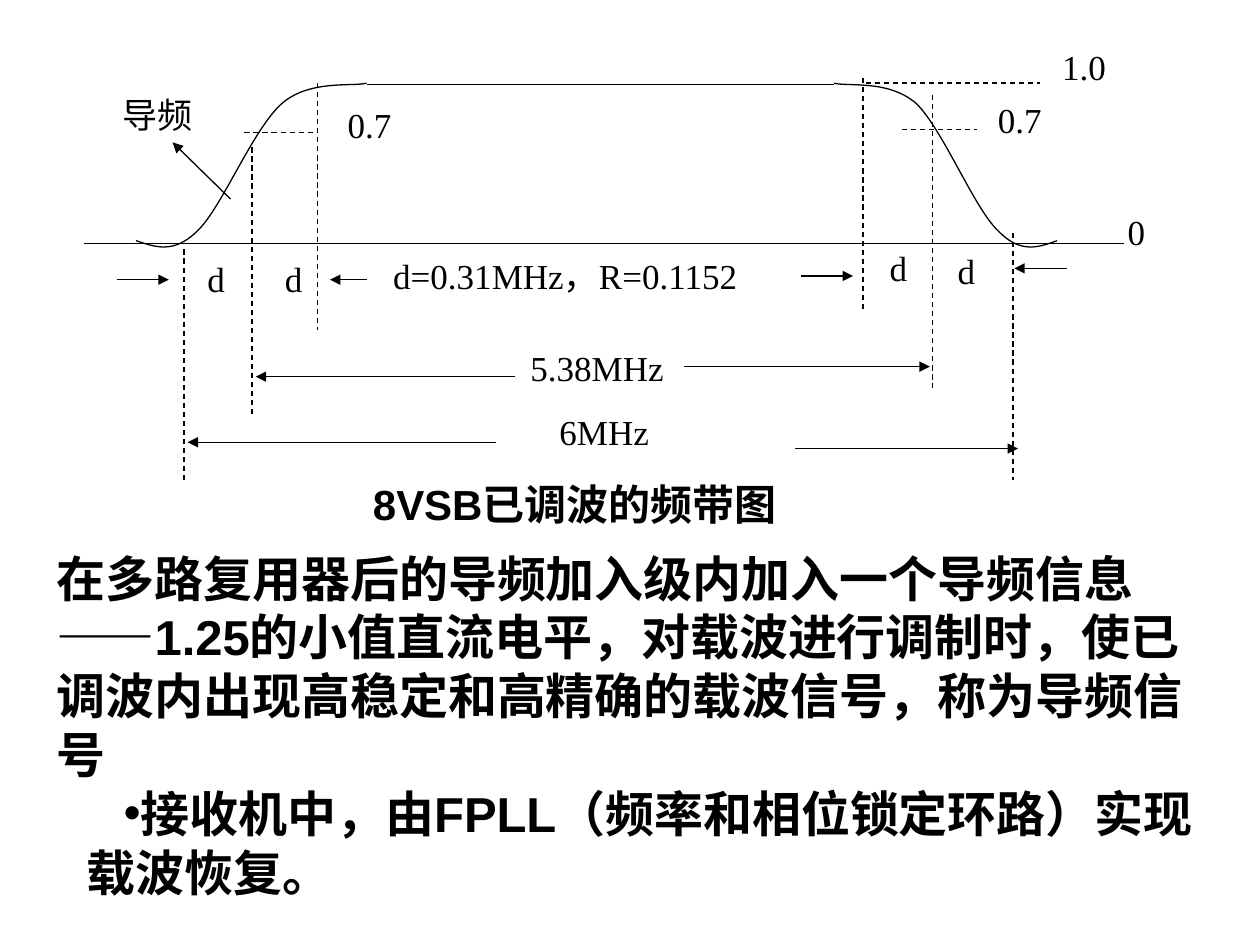
"""Build a slide showing the frequency band of the modulated 8VSB carrier."""
import pptx
import pptx.dml.color
import pptx.enum.dml
import pptx.enum.lang
import pptx.enum.shapes
import pptx.enum.text
import pptx.oxml
import pptx.oxml.ns
import pptx.util

Inches = pptx.util.Inches
Align = pptx.enum.text.PP_ALIGN
Anchor = pptx.enum.text.MSO_ANCHOR

CAPTION = "8VSB已调波的频带图"
PILOT_TEXT = (
    "在多路复用器后的导频加入级内加入一个导频信息——1.25的小值直流电平，"
    "对载波进行调制时，使已调波内出现高稳定和高精确的载波信号，称为导频信号"
)
RECEIVER_TEXT = "接收机中，由FPLL（频率和相位锁定环路）实现载波恢复。"

LABELS = [
    ("导频", 0.97, 0.74, 0.82, 0.5),
    ("1.0", 8.43, 0.36, 0.41, 0.41),
    ("5.38MHz", 4.21, 2.75, 1.44, 0.51),
    ("6MHz", 4.44, 3.26, 1.44, 0.51),
    ("0", 8.95, 1.67, 0.38, 0.5),
    ("0.7", 2.76, 0.82, 0.46, 0.5),
    ("0.7", 7.92, 0.78, 0.46, 0.5),
    ("d=0.31MHz，R=0.1152", 3.12, 2.02, 3.19, 0.51),
    ("d", 1.63, 2.04, 0.17, 0.37),
    ("d", 2.17, 2.04, 0.32, 0.45),
    ("d", 6.97, 1.96, 0.32, 0.45),
    ("d", 7.51, 1.98, 0.32, 0.45),
]
VERTICAL_GUIDES = [
    (1.46, 1.98, 3.83), (2, 1.17, 3.31), (2.52, 0.66, 2.62),
    (6.85, 0.62, 2.48), (7.4, 0.75, 3.08), (8.04, 1.85, 3.81),
]
LEVEL_GUIDES = [(1.05, 1.94, 2.49), (0.66, 6.87, 8.25), (1.03, 7.16, 7.75)]
SOLID_LEVELS = [(0.67, 2.91, 6.01), (0.67, 6.62, 5.74), (1.93, 0.67, 8.92)]
DIMENSION_ARROWS = [
    (2.22, 2.91, 2.62), (2.22, 0.93, 1.34), (2.19, 6.36, 6.77), (2.13, 8.47, 8.05),
    (2.99, 4.09, 2.03), (2.91, 5.43, 7.38), (3.51, 3.94, 1.49), (3.56, 6.31, 8.08),
]
PILOT_ARROW = (1.83, 1.58, 1.37, 1.13)
SLOPE_HEIGHTS = [1.91, 1.96, 2.02, 1.83, 1.65, 1.02, 0.82, 0.63, 0.69, 0.66]
SLOPES = [
    [1.08, 1.23, 1.38, 1.57, 1.76, 2.01, 2.24, 2.46, 2.8, 2.91],
    [8.39, 8.25, 8.1, 7.92, 7.73, 7.48, 7.27, 7.05, 6.73, 6.62],
]

THEME = {
    "ink": pptx.dml.color.RGBColor(0, 0, 0),
    "paper": pptx.dml.color.RGBColor(255, 255, 255),
    "label_font": "Times New Roman",
    "text_font": "Arial",
    "label_size": 20,
    "caption_size": 24,
    "body_size": 28,
    "line_width": 0.75,
}


def add_element(parent, tag, **attributes):
    element = pptx.oxml.ns.qn(tag)
    child = parent.makeelement(element, attributes)
    parent.append(child)
    return child


def style_line(line, color, dashed=False):
    line.color.rgb = color
    line.width = pptx.util.Pt(THEME["line_width"])
    if dashed:
        line.dash_style = pptx.enum.dml.MSO_LINE.DASH


def write_text(paragraph, text, *, font, size, bold=False, align=Align.LEFT, bullet=None,
               margin=0, indent=0):
    properties = paragraph._p.get_or_add_pPr()
    properties.set("marL", str(Inches(margin)))
    properties.set("indent", str(Inches(indent)))
    if bullet:
        add_element(properties, "a:buChar", char=bullet)
    else:
        add_element(properties, "a:buNone")
    paragraph.alignment = align
    paragraph.line_spacing = 1.0
    paragraph.space_before = paragraph.space_after = pptx.util.Pt(0)
    run = paragraph.add_run()
    run.text = text
    run.font.name = font
    run.font.size = pptx.util.Pt(size)
    run.font.bold = bold
    run.font.color.rgb = THEME["ink"]
    run.font.language_id = pptx.enum.lang.MSO_LANGUAGE_ID.SIMPLIFIED_CHINESE


def add_label(shapes, text, *box):
    shape = shapes.add_shape(pptx.enum.shapes.MSO_SHAPE.RECTANGLE, *map(Inches, box))
    shape.shadow.inherit = False
    shape.fill.solid()
    shape.fill.fore_color.rgb = THEME["paper"]
    style_line(shape.line, THEME["paper"])
    frame = shape.text_frame
    frame.word_wrap = True
    frame.vertical_anchor = Anchor.TOP
    frame.margin_left = frame.margin_right = frame.margin_top = frame.margin_bottom = 0
    write_text(frame.paragraphs[0], text, font=THEME["label_font"], size=THEME["label_size"],
               align=Align.CENTER if text == "d" else Align.JUSTIFY)


def add_line(shapes, *ends, dashed=False, arrow=False):
    connector = shapes.add_connector(pptx.enum.shapes.MSO_CONNECTOR.STRAIGHT, *map(Inches, ends))
    style_line(connector.line, THEME["ink"], dashed)
    if arrow:
        add_element(connector.line._get_or_add_ln(), "a:tailEnd", type="triangle")
    add_element(connector._element.spPr, "a:effectLst")


def add_slope(shapes, columns):
    points = [(Inches(x), Inches(y)) for x, y in zip(columns, SLOPE_HEIGHTS)]
    builder = shapes.build_freeform(*points[0])
    builder.add_line_segments(points[1:], close=False)
    shape = builder.convert_to_shape()
    outline = next(shape._element.iter(pptx.oxml.ns.qn("a:moveTo"))).getparent()
    segments = list(outline)[1:]
    for start in range(0, len(segments), 3):
        curve = add_element(outline, "a:cubicBezTo")
        for segment in segments[start:start + 3]:
            curve.append(segment[0])
            outline.remove(segment)
    shape.shadow.inherit = False
    shape.fill.background()
    style_line(shape.line, THEME["ink"])


def place(placeholder, *box):
    placeholder.left, placeholder.top, placeholder.width, placeholder.height = map(Inches, box)
    frame = placeholder.text_frame
    frame.word_wrap = True
    frame.auto_size = pptx.enum.text.MSO_AUTO_SIZE.NONE
    frame.vertical_anchor = Anchor.MIDDLE
    return frame


def draw_band(shapes):
    for label in LABELS:
        add_label(shapes, *label)
    for x, top, bottom in VERTICAL_GUIDES:
        add_line(shapes, x, top, x, bottom, dashed=True)
    for levels, style in ((LEVEL_GUIDES, {"dashed": True}), (SOLID_LEVELS, {}),
                          (DIMENSION_ARROWS, {"arrow": True})):
        for y, start, end in levels:
            add_line(shapes, start, y, end, y, **style)
    add_line(shapes, *PILOT_ARROW, arrow=True)
    for columns in SLOPES:
        add_slope(shapes, columns)


def main():
    presentation = pptx.Presentation()
    presentation.slide_width, presentation.slide_height = Inches(10), Inches(7.5)
    slide = presentation.slides.add_slide(presentation.slide_layouts[1])
    draw_band(slide.shapes.add_group_shape().shapes)

    caption = place(slide.shapes.title, 2.86, 3.75, 3.56, 0.5)
    write_text(caption.paragraphs[0], CAPTION, font=THEME["text_font"],
               size=THEME["caption_size"], bold=True)

    body = place(slide.placeholders[1], 0.35, 4.3, 9.25, 2.9)
    body_format = {"font": THEME["text_font"], "size": THEME["body_size"], "bold": True}
    write_text(body.paragraphs[0], PILOT_TEXT, **body_format)
    write_text(body.add_paragraph(), RECEIVER_TEXT, bullet="•", margin=0.24, indent=0.29,
               **body_format)
    presentation.save("out.pptx")


if __name__ == "__main__":
    main()
